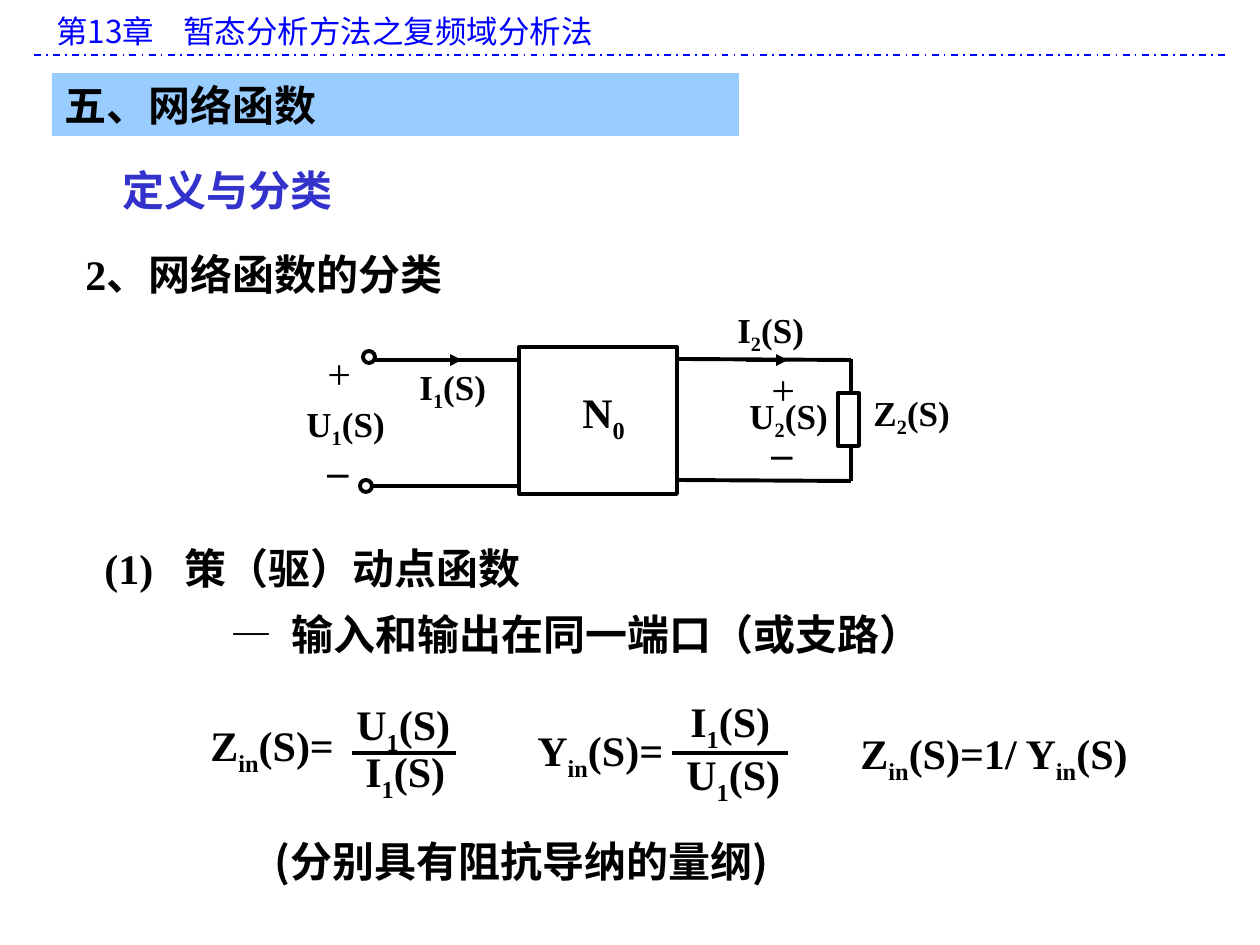
from dataclasses import dataclass
from typing import NamedTuple

from lxml import etree
from pptx import Presentation
from pptx.dml.color import RGBColor
from pptx.enum.dml import MSO_LINE
from pptx.enum.shapes import MSO_CONNECTOR, MSO_SHAPE
from pptx.enum.text import MSO_ANCHOR, MSO_AUTO_SIZE, PP_ALIGN
from pptx.oxml.ns import qn
from pptx.util import Emu, Pt

STRAIGHT = MSO_CONNECTOR.STRAIGHT
RECT, OVAL = MSO_SHAPE.RECTANGLE, MSO_SHAPE.OVAL
DASH_DOT = MSO_LINE.DASH_DOT
FRAME_FORMAT = {
    "word_wrap": True,
    "auto_size": MSO_AUTO_SIZE.NONE,
    "vertical_anchor": MSO_ANCHOR.MIDDLE,
    "margin_left": Emu(91440),
    "margin_right": Emu(91440),
    "margin_top": Emu(45720),
    "margin_bottom": Emu(45720),
}
SERIF, HAN = "Times New Roman", "Noto Sans CJK SC"
BLACK, BLUE, INDIGO, SKY = "000000", "0000FF", "3333CC", "99CCFF"
PX_PER_INCH = 126


class Run(NamedTuple):
    text: str
    font: str = SERIF
    subscript: bool = False


@dataclass(frozen=True)
class Label:
    left: int
    top: int
    width: int
    runs: list[Run]
    height: int = 63
    size: int = 24
    color: str = BLACK
    bold: bool = True
    tab: int = 0


class Wire(NamedTuple):
    x1: int
    y1: int
    x2: int
    y2: int
    arrow: bool = False
    color: str = BLACK
    width: float = 2.25


class Outline(NamedTuple):
    kind: MSO_SHAPE
    left: int
    top: int
    width: int
    height: int


def px(length: int) -> Emu:
    return Emu(round(length * 914400 / PX_PER_INCH))


def rgb(color: str) -> RGBColor:
    return RGBColor.from_string(color)


def formula(*parts: str) -> list[Run]:
    """Every second part is a subscript."""
    return [Run(part, SERIF, i % 2 == 1) for i, part in enumerate(parts)]


def han(text: str) -> list[Run]:
    return [Run(text, HAN)]


def quantity(left: int, top: int, width: int, letter: str, index: str,
             size: int = 24) -> Label:
    height = 63 if size == 24 else 54
    return Label(left, top, width, formula(letter, index, "(S)"), height, size)


def sign(left: int, top: int, text: str) -> Label:
    return Label(left, top, 50, formula(text), bold=text != "+")


def write(shape, label: Label) -> None:
    shape.left, shape.top = px(label.left), px(label.top)
    shape.width, shape.height = px(label.width), px(label.height)
    frame = shape.text_frame
    for name, value in FRAME_FORMAT.items():
        setattr(frame, name, value)
    paragraph = frame.paragraphs[0]
    paragraph.alignment = PP_ALIGN.LEFT
    if label.tab:
        properties = paragraph._p.get_or_add_pPr()
        stops = etree.SubElement(properties, qn("a:tabLst"))
        etree.SubElement(stops, qn("a:tab"), pos=str(px(label.tab)), algn="l")
    for part in label.runs:
        run = paragraph.add_run()
        run.text = part.text
        font = run.font
        font.name, font.size, font.bold = part.font, Pt(label.size), label.bold
        font.color.rgb = rgb(label.color)
        properties = run._r.get_or_add_rPr()
        etree.SubElement(properties, qn("a:ea"), typeface=HAN)
        if part.subscript:
            properties.set("baseline", "-25000")


def add_label(slide, label: Label) -> None:
    write(slide.shapes.add_textbox(0, 0, 0, 0), label)


def add_wire(slide, wire: Wire):
    connector = slide.shapes.add_connector(
        STRAIGHT, px(wire.x1), px(wire.y1), px(wire.x2), px(wire.y2))
    connector.line.color.rgb = rgb(wire.color)
    connector.line.width = Pt(wire.width)
    if wire.arrow:
        etree.SubElement(connector.line._get_or_add_ln(), qn("a:tailEnd"),
                         type="triangle")
    etree.SubElement(connector._element.spPr, qn("a:effectLst"))
    return connector


def add_outline(slide, outline: Outline) -> None:
    kind, *box = outline
    shape = slide.shapes.add_shape(kind, *map(px, box))
    shape.shadow.inherit = False
    shape.fill.background()
    shape.line.color.rgb = rgb(BLACK)
    shape.line.width = Pt(2.25)


CHAPTER = Label(44, 6, 1181, han("第13章\t暂态分析方法之复频域分析法"), 50, 18,
                BLUE, False, tab=127)
SECTION = Label(52, 73, 687, formula("五、网络函数"))

HEADINGS = [
    Label(110, 158, 401, han("定义与分类"), color=INDIGO),
    Label(73, 242, 517, formula("2") + han("、网络函数的分类")),
    Label(92, 536, 706, formula("(1)\t") + han("策（驱）动点函数"), tab=80),
    Label(218, 602, 827, formula("—\t") + han("输入和输出在同一端口（或支路）"), tab=61),
    Label(262, 829, 640, han("(分别具有阻抗导纳的量纲)")),
]

EQUATIONS = [
    Label(198, 717, 391, formula("Z", "in", "(S)=")),
    quantity(344, 696, 180, "U", "1"),
    quantity(353, 743, 141, "I", "1"),
    Label(525, 722, 202, formula("Y", "in", "(S)=")),
    quantity(678, 693, 226, "I", "1"),
    quantity(674, 746, 197, "U", "1"),
    Label(848, 725, 359, formula("Z", "in", "(S)=1/ Y", "in", "(S)")),
]
FRACTION_BARS = [Wire(352, 753, 456, 753), Wire(672, 753, 788, 753)]

# Two-port network: box, load and input terminals
CIRCUIT_OUTLINES = [
    Outline(RECT, 519, 347, 158, 147),
    Outline(RECT, 838, 393, 21, 53),
    Outline(OVAL, 363, 351, 12, 12),
    Outline(OVAL, 360, 480, 12, 12),
]
CIRCUIT_WIRES = [
    Wire(373, 360, 519, 360),
    Wire(373, 486, 519, 486),
    Wire(677, 359, 851, 360),
    Wire(851, 359, 851, 393),
    Wire(677, 480, 851, 481),
    Wire(851, 481, 851, 447),
    Wire(420, 360, 462, 360, arrow=True),
    Wire(746, 360, 788, 360, arrow=True),
]
CIRCUIT_LABELS = [
    Label(570, 384, 74, formula("N", "0")),
    quantity(407, 362, 98, "I", "1", 20),
    quantity(725, 305, 98, "I", "2", 20),
    quantity(294, 399, 149, "U", "1", 20),
    quantity(737, 391, 149, "U", "2", 20),
    quantity(861, 388, 108, "Z", "2", 20),
    sign(315, 341, "+"),
    sign(315, 438, "–"),
    sign(759, 357, "+"),
    sign(759, 420, "–"),
]


def main() -> None:
    deck = Presentation()
    deck.slide_width, deck.slide_height = px(1260), px(945)
    slide = deck.slides.add_slide(deck.slide_layouts[5])

    # Chapter header and section title
    add_label(slide, CHAPTER)
    rule = add_wire(slide, Wire(34, 55, 1225, 55, color=BLUE, width=1))
    rule.line.dash_style = DASH_DOT
    title = slide.shapes.title
    write(title, SECTION)
    title.fill.solid()
    title.fill.fore_color.rgb = rgb(SKY)

    # Circuit, then text and equations
    for outline in CIRCUIT_OUTLINES:
        add_outline(slide, outline)
    for wire in CIRCUIT_WIRES + FRACTION_BARS:
        add_wire(slide, wire)
    for label in HEADINGS + CIRCUIT_LABELS + EQUATIONS:
        add_label(slide, label)

    deck.save("out.pptx")


if __name__ == "__main__":
    main()
